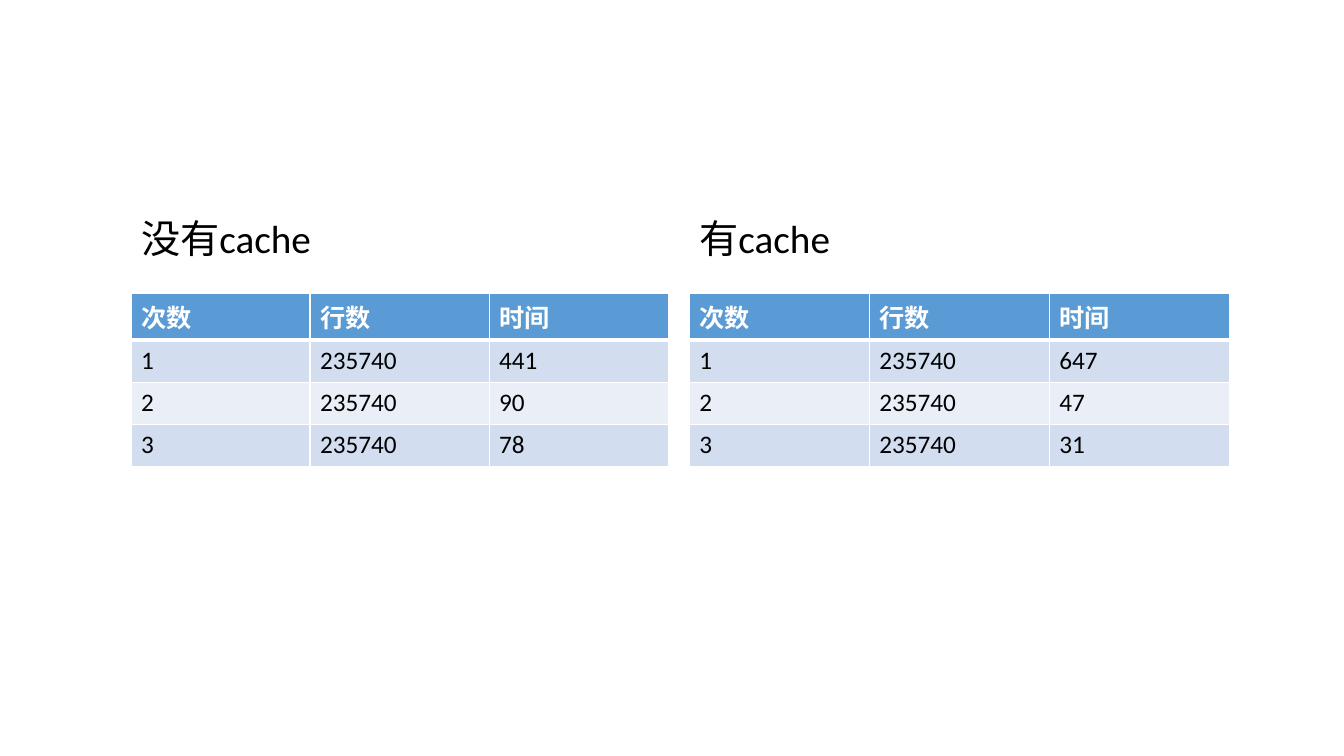
from lxml.etree import fromstring
from pptx import Presentation
from pptx.dml.color import RGBColor
from pptx.enum.text import MSO_ANCHOR
from pptx.util import Cm, Pt

COLORS = {"head": "5B9BD5", "odd": "D2DEEF", "even": "EAEFF7",
          "line": "FFFFFF", "light": "FFFFFF", "dark": "000000"}
NS = "http://schemas.openxmlformats.org/drawingml/2006/main"
HEAD = ["次数", "行数", "时间"]
LINES = "235740"
SIDES = [
    ("没有cache", 3.3, 13.54, ["441", "90", "78"]),
    ("有cache", 17.37, 13.61, ["647", "47", "31"]),
]
TOP, ROW = 7.4, 1.06


def style(para, size, color, bold=False):
    for run in para.runs:
        run.font.name = "Calibri"
        run.font.size = Pt(size)
        run.font.bold = bold
        run.font.color.rgb = RGBColor.from_string(COLORS[color])


def border(cell, row):
    """Draw white cell lines, with a thick one under the header row."""
    widths = {"L": 1, "R": 1, "T": 3 if row == 1 else 1, "B": 3 if row == 0 else 1}
    for spot, (side, width) in enumerate(widths.items()):
        line = fromstring(
            f'<a:ln{side} xmlns:a="{NS}" w="{Pt(width)}"><a:solidFill>'
            f'<a:srgbClr val="{COLORS["line"]}"/></a:solidFill></a:ln{side}>')
        cell._tc.get_or_add_tcPr().insert(spot, line)


deck = Presentation()
deck.slide_width, deck.slide_height = Cm(33.87), Cm(19.05)
slide = deck.slides.add_slide(deck.slide_layouts.get_by_name("Comparison"))
holders = {item.placeholder_format.idx: item for item in slide.placeholders}
for idx in (0, 2, 4):
    holders[idx].element.getparent().remove(holders[idx].element)

for body, (label, left, width, times) in zip((holders[1], holders[3]), SIDES):
    body.left, body.top = Cm(left), Cm(4.93)
    body.width, body.height = Cm(width), Cm(2.29)
    frame = body.text_frame
    frame.text = label
    frame.vertical_anchor = MSO_ANCHOR.MIDDLE
    para = frame.paragraphs[0]
    para.line_spacing = 0.9
    para.space_before = Pt(10)
    style(para, 28, "dark")

    data = [HEAD] + [[str(n), LINES, time] for n, time in enumerate(times, 1)]
    table = slide.shapes.add_table(len(data), len(HEAD), Cm(left), Cm(TOP),
                                   Cm(width), Cm(ROW * len(data))).table
    for row, texts in enumerate(data):
        fill = "head" if row == 0 else "odd" if row % 2 else "even"
        for col, text in enumerate(texts):
            cell = table.cell(row, col)
            cell.text_frame.text = text
            style(cell.text_frame.paragraphs[0], 18,
                  "dark" if row else "light", bold=row == 0)
            cell.fill.solid()
            cell.fill.fore_color.rgb = RGBColor.from_string(COLORS[fill])
            border(cell, row)

deck.save("out.pptx")
